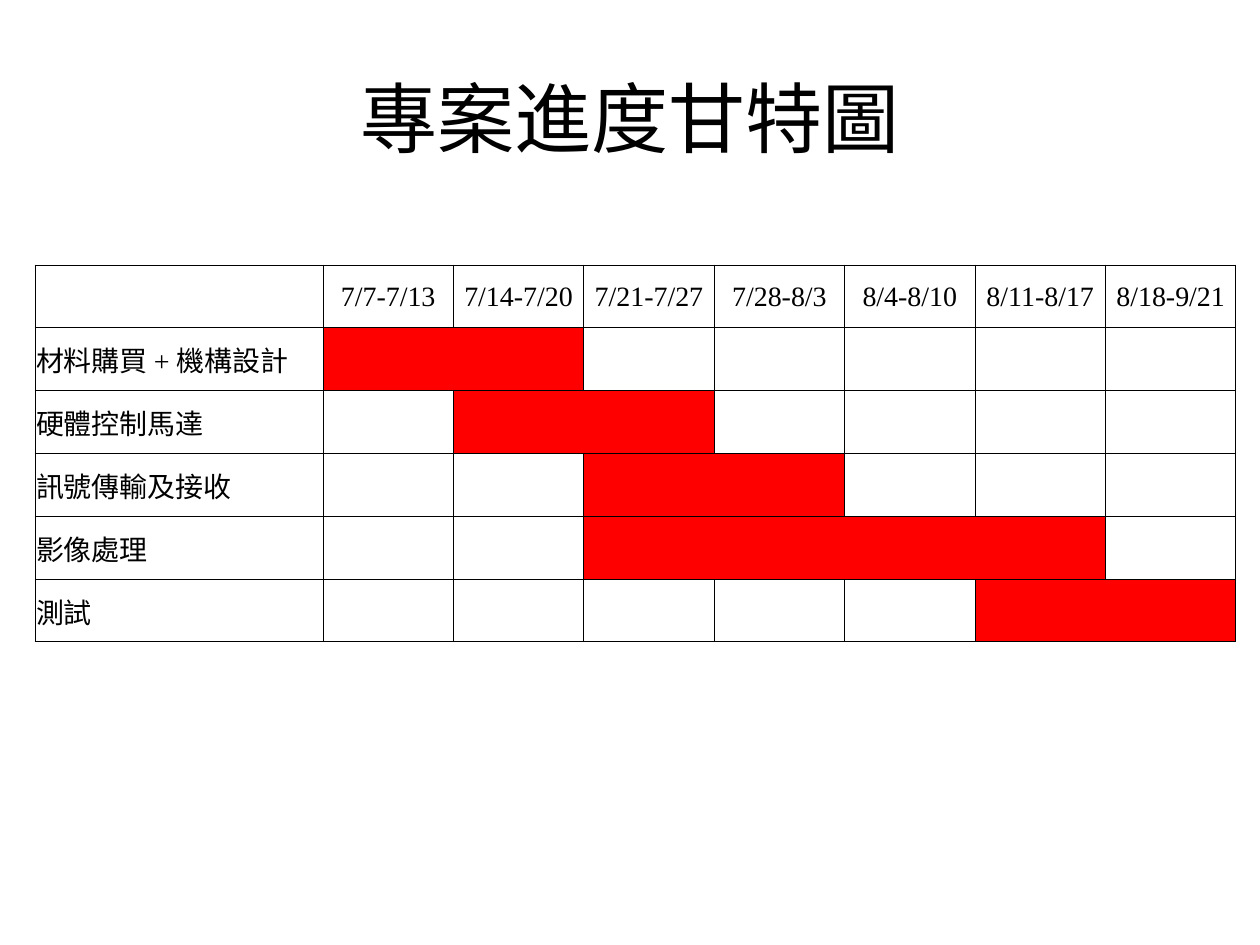
from lxml.etree import SubElement
from pptx import Presentation
from pptx.dml.color import RGBColor
from pptx.enum.text import MSO_ANCHOR, PP_ALIGN
from pptx.oxml.ns import qn
from pptx.util import Emu, Pt

BLACK = RGBColor(0, 0, 0)
RED = RGBColor(255, 0, 0)
LATIN, CJK = "Times New Roman", "Noto Sans CJK SC"
PLAIN_TABLE = "{2D5ABB26-0587-4C30-8999-92F81FD0307C}"

WEEKS = ["7/7-7/13", "7/14-7/20", "7/21-7/27", "7/28-8/3",
         "8/4-8/10", "8/11-8/17", "8/18-9/21"]
# Task name with the first and last week of its bar
TASKS = [("材料購買 + 機構設計", 1, 2), ("硬體控制馬達", 2, 3),
         ("訊號傳輸及接收", 3, 4), ("影像處理", 3, 6), ("測試", 6, 7)]


class GanttPage:
    scale = 914400 / 126  # EMU in one px

    def __init__(self, page):
        self.page = page

    def px(self, length):
        return Emu(round(length * self.scale))

    def label(self, frame, text, size, latin, align):
        para = frame.paragraphs[0]
        para.alignment = align
        span = para.add_run()
        span.text = text
        for name, value in {"size": Pt(size), "name": latin, "bold": False}.items():
            setattr(span.font, name, value)
        span.font.color.rgb = BLACK
        SubElement(span.font._element, qn("a:ea"), typeface=CJK)

    def title(self, text, left, top, width, height):
        box = self.page.shapes.title
        place = {"left": left, "top": top, "width": width, "height": height}
        for name, value in place.items():
            setattr(box, name, self.px(value))
        box.text_frame.vertical_anchor = MSO_ANCHOR.MIDDLE
        self.label(box.text_frame, text, 44, CJK, PP_ALIGN.CENTER)

    def borders(self, cell, hidden):
        properties = cell._tc.get_or_add_tcPr()
        for side in "LRTB":
            line = SubElement(properties, qn(f"a:ln{side}"), w=str(Pt(0.5)))
            if side in hidden:
                SubElement(line, qn("a:noFill"))
            else:
                fill = SubElement(line, qn("a:solidFill"))
                SubElement(fill, qn("a:srgbClr"), val=str(BLACK))

    def cell(self, cell, text="", align=PP_ALIGN.LEFT, filled=False, hidden=""):
        style = {"margin_left": self.px(1), "margin_right": self.px(1),
                 "margin_top": self.px(1), "margin_bottom": 0,
                 "vertical_anchor": MSO_ANCHOR.MIDDLE}
        for name, value in style.items():
            setattr(cell, name, value)
        self.borders(cell, hidden)
        if filled:
            cell.fill.solid()
            cell.fill.fore_color.rgb = RED
        else:
            cell.fill.background()
        if text:
            self.label(cell.text_frame, text, 16, LATIN, align)

    def gantt(self, left, top, width, height, label_width):
        table = self.page.shapes.add_table(
            len(TASKS) + 1, len(WEEKS) + 1,
            *map(self.px, (left, top, width, height))).table
        table.first_row = table.horz_banding = False
        table._tbl.tblPr.find(qn("a:tableStyleId")).text = PLAIN_TABLE

        # One wide label column, equal weeks and equal rows
        for column in table.columns:
            column.width = self.px((width - label_width) / len(WEEKS))
        table.columns[0].width = self.px(label_width)
        for row in table.rows:
            row.height = self.px(height / len(table.rows))

        # Header
        for index, week in enumerate(["", *WEEKS]):
            self.cell(table.cell(0, index), week, PP_ALIGN.CENTER)

        # Tasks: no vertical borders inside a bar
        for row, (task, first, last) in enumerate(TASKS, 1):
            self.cell(table.cell(row, 0), task)
            for week in range(1, len(WEEKS) + 1):
                hidden = ("L" if first < week <= last else "") + \
                         ("R" if first <= week < last else "")
                self.cell(table.cell(row, week), hidden=hidden,
                          filled=first <= week <= last)


def main():
    deck = Presentation()
    deck.slide_width, deck.slide_height = Emu(9144000), Emu(6858000)
    gantt_page = GanttPage(deck.slides.add_slide(deck.slide_layouts[5]))
    gantt_page.title("專案進度甘特圖", 63, 38, 1134, 157)
    gantt_page.gantt(35, 265, 1201, 377, label_width=288)
    deck.save("out.pptx")


if __name__ == "__main__":
    main()
